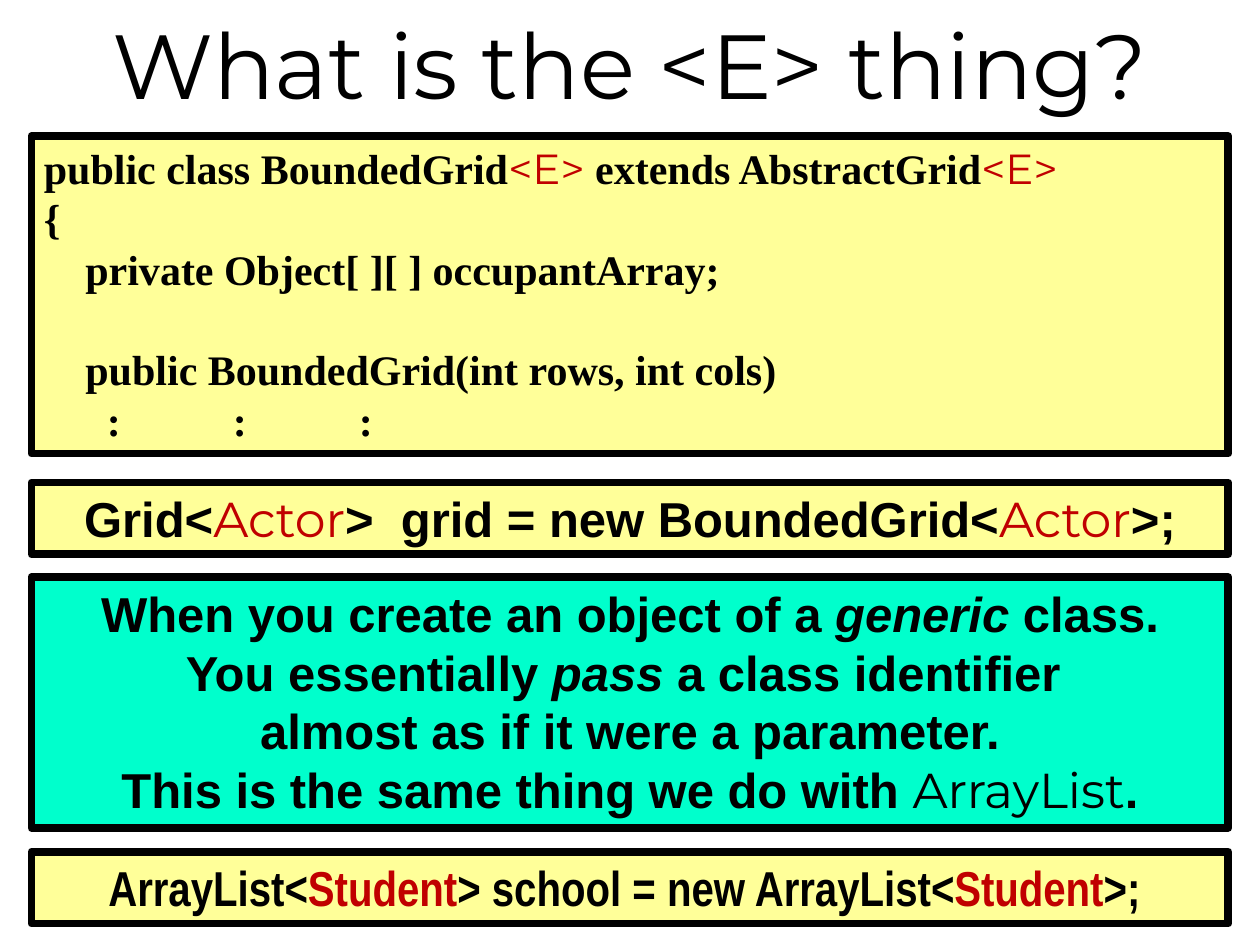
from pptx import Presentation
from pptx.dml.color import RGBColor
from pptx.enum.shapes import MSO_SHAPE
from pptx.enum.text import MSO_ANCHOR, PP_ALIGN
from pptx.util import Inches, Pt

BLACK, RED, YELLOW, TEAL = "000000", "C00000", "FFFF99", "00FFCC"
LEFT, WIDTH = 0.25, 9.5
LINE_PITCH = 1.2  # line height as a multiple of the text size
CODE_INDENT = 0.33

# Run styles: font, bold, italic, colour
STYLES = {
    "title": ("Montserrat", False, False, BLACK),
    "code": ("Times New Roman", True, False, BLACK),
    "type": ("Montserrat", False, False, RED),
    "class": ("Montserrat", False, False, BLACK),
    "text": ("Arial", True, False, BLACK),
    "term": ("Arial", True, True, BLACK),
    "narrow": ("Arial Narrow", True, False, BLACK),
    "narrow type": ("Arial Narrow", True, False, RED),
}

TITLE = [("What is the <E> thing?", "title")]

# Each line: runs, indent in inches, blank lines before it
CLASS_CODE = [
    ([("public class BoundedGrid", "code"), ("<E>", "type"),
      (" extends AbstractGrid", "code"), ("<E>", "type")], 0, 0),
    ([("{", "code")], 0, 0),
    ([("private Object[ ][ ] occupantArray;", "code")], CODE_INDENT, 0),
    ([("public BoundedGrid(int rows, int cols)", "code")], CODE_INDENT, 1),
    ([("\t:\t\t:\t\t:", "code")], 0, 0),
]
GRID_CODE = [
    ([("Grid<", "text"), ("Actor", "type"), (">  grid = new BoundedGrid<", "text"),
      ("Actor", "type"), (">;", "text")], 0, 0),
]
EXPLANATION = [
    ([("When you create an object of a ", "text"), ("generic", "term"),
      (" class.", "text")], 0, 0),
    ([("You essentially ", "text"), ("pass", "term"),
      (" a class identifier ", "text")], 0, 0),
    ([("almost as if it were a parameter.", "text")], 0, 0),
    ([("This is the same thing we do with ", "text"), ("ArrayList", "class"),
      (".", "text")], 0, 0),
]
LIST_CODE = [
    ([("ArrayList<", "narrow"), ("Student", "narrow type"),
      ("> school = new ArrayList<", "narrow"), ("Student", "narrow type"),
      (">; ", "narrow")], 0, 0),
]

# Top, height, fill, text size, alignment, lines
PANELS = [
    (1.08, 2.52, YELLOW, 24, PP_ALIGN.LEFT, CLASS_CODE),
    (3.83, 0.57, YELLOW, 28, PP_ALIGN.CENTER, GRID_CODE),
    (4.58, 1.99, TEAL, 28, PP_ALIGN.CENTER, EXPLANATION),
    (6.76, 0.57, YELLOW, 28, PP_ALIGN.CENTER, LIST_CODE),
]


def color(value):
    return RGBColor.from_string(value)


def add_runs(para, runs, size):
    for text, style in runs:
        span = para.add_run()
        span.text = text
        font = span.font
        font.size = Pt(size)
        font.name, font.bold, font.italic, ink = STYLES[style]
        font.color.rgb = color(ink)


def add_title(page):
    box = page.shapes.add_textbox(0, 0, Inches(10), Inches(1))
    frame = box.text_frame
    frame.word_wrap = True
    frame.vertical_anchor = MSO_ANCHOR.MIDDLE
    para = frame.paragraphs[0]
    para.alignment = PP_ALIGN.CENTER
    add_runs(para, TITLE, 52)


def add_panel(page, top, height, fill, size, alignment, lines):
    box = page.shapes.add_shape(MSO_SHAPE.RECTANGLE, Inches(LEFT), Inches(top),
                                Inches(WIDTH), Inches(height))
    box.shadow.inherit = False
    box.fill.solid()
    box.fill.fore_color.rgb = color(fill)
    box.line.color.rgb = color(BLACK)
    box.line.width = Pt(4.5)
    frame = box.text_frame
    frame.word_wrap = True
    frame.vertical_anchor = MSO_ANCHOR.TOP
    pitch = size * LINE_PITCH
    for index, (runs, indent, blank_lines) in enumerate(lines):
        para = frame.add_paragraph() if index else frame.paragraphs[0]
        para.alignment = alignment
        para.line_spacing = Pt(pitch)
        para.space_before = Pt(pitch * blank_lines)
        if indent:
            properties = para._p.get_or_add_pPr()
            properties.set("marL", str(Inches(indent)))
            properties.set("indent", "0")
        add_runs(para, runs, size)


def main():
    deck = Presentation()
    deck.slide_width, deck.slide_height = Inches(10), Inches(7.5)
    page = deck.slides.add_slide(deck.slide_layouts[6])
    add_title(page)
    for panel in PANELS:
        add_panel(page, *panel)
    deck.save("out.pptx")


if __name__ == "__main__":
    main()
